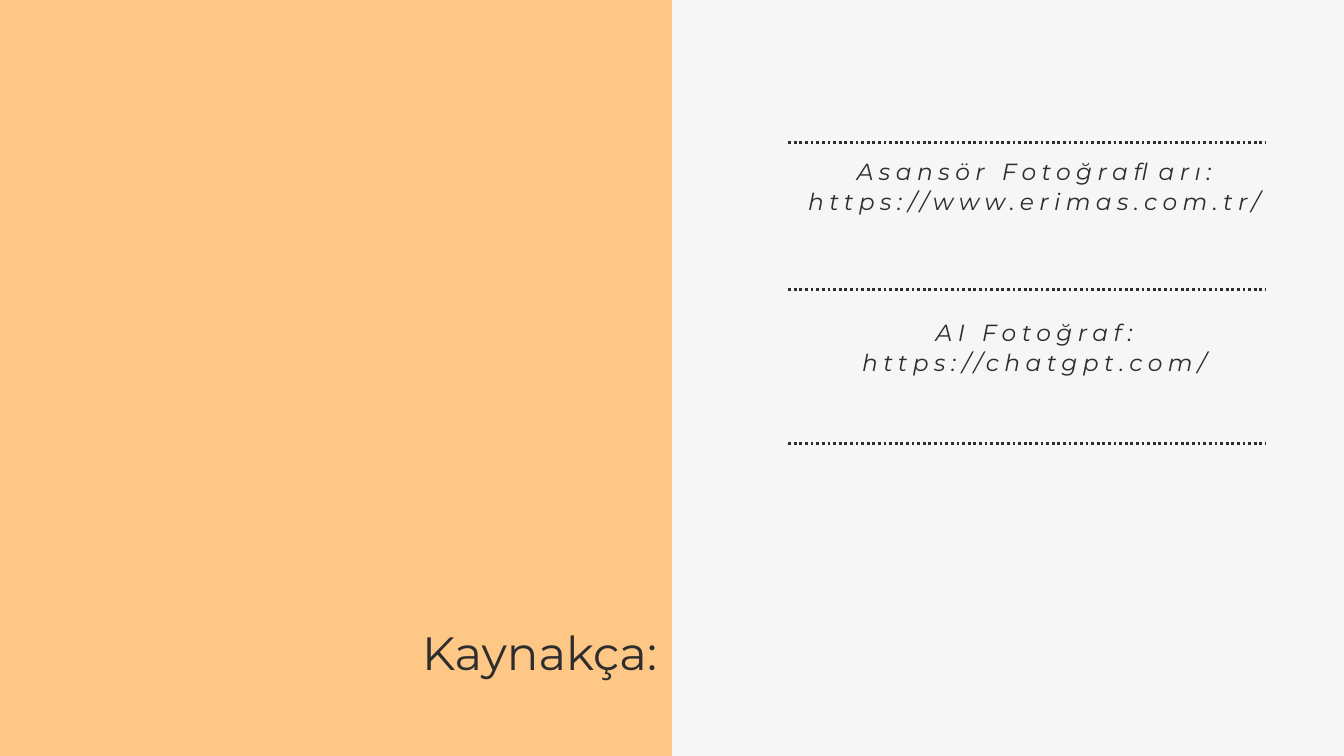
from dataclasses import dataclass

from pptx import Presentation
from pptx.dml.color import RGBColor as RGB
from pptx.enum.dml import MSO_LINE
from pptx.enum.shapes import MSO_CONNECTOR, MSO_SHAPE
from pptx.enum.text import MSO_AUTO_SIZE, PP_ALIGN
from pptx.oxml.ns import qn
from pptx.util import Inches, Length, Pt
from lxml.etree import SubElement


@dataclass(frozen=True)
class Theme:
    paper: RGB = RGB.from_string("F6F6F6")
    panel: RGB = RGB.from_string("FFC786")
    ink: RGB = RGB.from_string("2E2D2D")
    font: str = "Montserrat"
    title: float = 50
    title_leading: float = 60
    body: float = 25
    body_leading: float = 32.5
    tracking: float = 5.9
    rule: float = 3


@dataclass(frozen=True)
class Box:
    """Position and size in grid columns and rows."""
    col: float
    row: float
    cols: float
    rows: float


@dataclass(frozen=True)
class Source:
    label: str
    url: str
    row: float


THEME = Theme()
WIDTH, HEIGHT = Inches(20), Inches(11.25)
COLS, ROWS = 20, 45

LIST_COL, RULE_COLS, TEXT_COLS, TEXT_ROWS = 11.73, 7.1, 7.32, 3.52
RULE_ROWS = (8.48, 17.24, 26.4)
SOURCES = (
    Source("Asansör Fotoğrafları:", "https://www.erimas.com.tr/", 9.2),
    Source("AI Fotoğraf:", "https://chatgpt.com/", 18.8),
)


def x(cols: float) -> Length:
    return Length(round(WIDTH * cols / COLS))


def y(rows: float) -> Length:
    return Length(round(HEIGHT * rows / ROWS))


def place(box: Box) -> tuple[Length, Length, Length, Length]:
    return x(box.col), y(box.row), x(box.cols), y(box.rows)


def add_panel(s, box: Box) -> None:
    sp = s.shapes.add_shape(MSO_SHAPE.RECTANGLE, *place(box))
    sp.shadow.inherit = False
    sp.fill.solid()
    sp.fill.fore_color.rgb = THEME.panel
    sp.line.fill.background()


def add_rule(s, row: float) -> None:
    line = s.shapes.add_connector(MSO_CONNECTOR.STRAIGHT, x(LIST_COL), y(row),
                                  x(LIST_COL + RULE_COLS), y(row))
    line.line.color.rgb = THEME.ink
    line.line.width = Pt(THEME.rule)
    line.line.dash_style = MSO_LINE.ROUND_DOT  # written as sysDot
    SubElement(line._element.spPr, qn("a:effectLst"))


def add_text(s, box: Box, *lines: str, size: float, leading: float,
             align: PP_ALIGN = PP_ALIGN.LEFT, italic: bool = False,
             tracking: float = 0) -> None:
    tf = s.shapes.add_textbox(*place(box)).text_frame
    tf.margin_left = tf.margin_right = tf.margin_top = tf.margin_bottom = 0
    tf.word_wrap = True
    tf.auto_size = MSO_AUTO_SIZE.SHAPE_TO_FIT_TEXT
    for i, text in enumerate(lines):
        p = tf.add_paragraph() if i else tf.paragraphs[0]
        p.alignment = align
        p.line_spacing = Pt(leading)
        r = p.add_run()
        r.text = text
        r.font.name = THEME.font
        r.font.size = Pt(size)
        r.font.italic = italic
        r.font.color.rgb = THEME.ink
        if tracking:
            r._r.get_or_add_rPr().set("spc", str(round(tracking * 100)))


def main() -> None:
    prs = Presentation()
    prs.slide_width, prs.slide_height = WIDTH, HEIGHT
    s = prs.slides.add_slide(prs.slide_layouts[6])
    s.background.fill.solid()
    s.background.fill.fore_color.rgb = THEME.paper

    # Dotted rules between the sources
    for row in RULE_ROWS:
        add_rule(s, row)

    # Left half with the title
    add_panel(s, Box(0, 0, COLS / 2, ROWS))
    add_text(s, Box(6.28, 37.16, 3.72, 3.32), "Kaynakça:",
             size=THEME.title, leading=THEME.title_leading)

    # List of sources
    for source in SOURCES:
        add_text(s, Box(LIST_COL, source.row, TEXT_COLS, TEXT_ROWS),
                 source.label, source.url, size=THEME.body,
                 leading=THEME.body_leading, align=PP_ALIGN.CENTER,
                 italic=True, tracking=THEME.tracking)

    prs.save("out.pptx")


if __name__ == "__main__":
    main()
